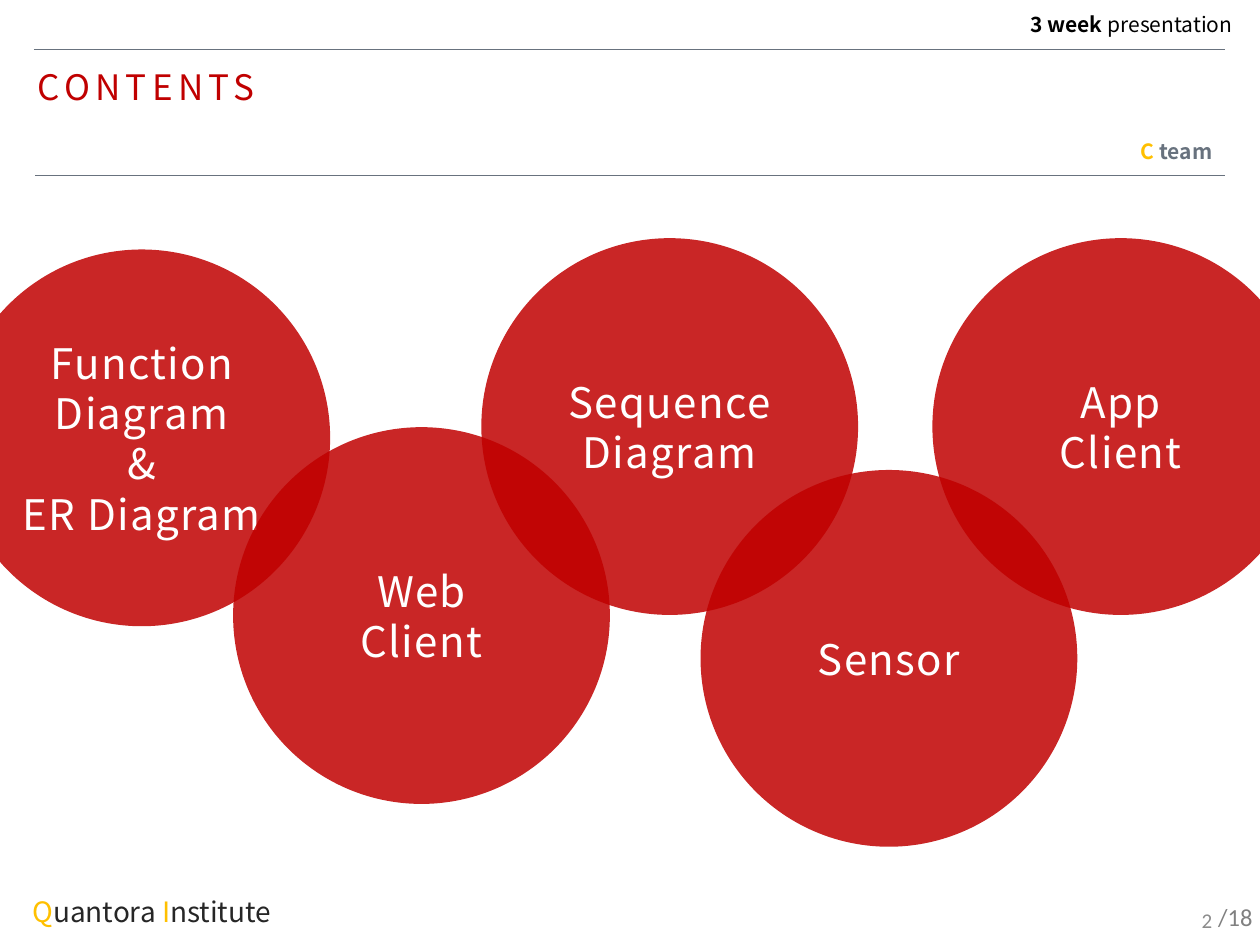
import pptx
import pptx.util
import pptx.dml.color
import pptx.enum.shapes
import pptx.enum.text
import pptx.oxml.ns
import lxml.etree

THEME = {
    "red": "C00000", "gold": "FFC000", "slate": "68727E", "ink": "262626",
    "black": "000000", "white": "FFFFFF", "gray": "8C8C8C", "mid": "808080",
    "sans": "Noto Sans CJK KR", "plain": "Calibri",
    "title": 20, "foot": 16, "small": 12, "disc": 24, "total": 14,
    "rule": 0.25, "alpha": 85,
}
WIDE, HIGH = 10, 7.5
COLS, ROWS = 100, 75
SIZE = 29.9

RULES = [(2.7, 97.2, 3.9), (2.8, 97.2, 13.9)]

TEXTS = [
    {"at": (2, 5.1, 24.4, 4), "size": "title", "gap": 3, "lead": 0.9,
     "runs": [("CONTENTS", "red", False)]},
    {"at": (1.6, 69.2, 44.2, 4.6), "size": "foot", "lead": 1.5,
     "runs": [("Q", "gold", False), ("uantora ", "ink", False),
              ("I", "gold", False), ("nstitute", "ink", False)]},
    {"at": (78.3, 0.8, 20.5, 2.6), "size": "small", "lead": 0.8, "side": "RIGHT",
     "runs": [("3 week ", "black", True), ("presentation", "black", False)]},
    {"at": (76.7, 10.9, 20.5, 2.6), "size": "small", "lead": 0.8, "side": "RIGHT",
     "runs": [("C", "gold", True), (" team", "slate", True)]},
    {"at": (74.7, 71, 22.5, 4), "size": "small", "side": "RIGHT", "face": "plain",
     "anchor": "MIDDLE", "runs": [("2", "gray", False)]},
    {"at": (95.7, 71.1, 5.2, 3.4), "size": "total", "face": "plain",
     "runs": [("/18", "mid", False)]},
]

DISCS = [
    (-3.7, 19.8, ["Function", "Diagram", "&", "ER Diagram"]),
    (18.5, 33.9, ["Web", "Client"]),
    (38.2, 18.9, ["Sequence", "Diagram"]),
    (74, 18.9, ["App", "Client"]),
    (55.6, 37.3, ["Sensor"]),
]


def place(left, top, *size):
    units = (WIDE / COLS, HIGH / ROWS) * 2
    return [pptx.util.Inches(n * u) for n, u in zip((left, top, *size), units)]


def color(key):
    return pptx.dml.color.RGBColor.from_string(THEME[key])


def apply(thing, form):
    for key, value in form.items():
        setattr(thing, key, value)


def write(shape, lines, size, face="sans", side="LEFT", anchor="TOP", lead=1, gap=0):
    frame = shape.text_frame
    apply(frame, {"word_wrap": True,
                  "vertical_anchor": getattr(pptx.enum.text.MSO_ANCHOR, anchor)})
    for i, runs in enumerate(lines):
        para = frame.add_paragraph() if i else frame.paragraphs[0]
        apply(para, {"alignment": getattr(pptx.enum.text.PP_ALIGN, side),
                     "line_spacing": lead})
        for words, tint, bold in runs:
            run = para.add_run()
            run.text = words
            apply(run.font, {"name": THEME[face], "bold": bold,
                             "size": pptx.util.Pt(THEME[size])})
            run.font.color.rgb = color(tint)
            if gap:
                run.font._element.set("spc", str(round(gap * 100)))


def add_rule(slide, left, right, top):
    kind = pptx.enum.shapes.MSO_CONNECTOR.STRAIGHT
    line = slide.shapes.add_connector(kind, *place(left, top, right, top))
    line.line.color.rgb = color("slate")
    line.line.width = pptx.util.Pt(THEME["rule"])
    lxml.etree.SubElement(line._element.spPr, pptx.oxml.ns.qn("a:effectLst"))


def add_text(slide, at, runs, **form):
    write(slide.shapes.add_textbox(*place(*at)), [runs], **form)


def add_disc(slide, left, top, lines):
    kind = pptx.enum.shapes.MSO_SHAPE.OVAL
    disc = slide.shapes.add_shape(kind, *place(left, top, SIZE, SIZE))
    disc.shadow.inherit = False
    disc.fill.solid()
    disc.fill.fore_color.rgb = color("red")
    disc.line.fill.background()
    tint = disc._element.spPr.find(".//" + pptx.oxml.ns.qn("a:srgbClr"))
    alpha = lxml.etree.SubElement(tint, pptx.oxml.ns.qn("a:alpha"))
    alpha.set("val", str(THEME["alpha"] * 1000))
    write(disc, [[(words, "white", False)] for words in lines],
          "disc", side="CENTER", anchor="MIDDLE", gap=0.8)


def main():
    deck = pptx.Presentation()
    apply(deck, {"slide_width": pptx.util.Inches(WIDE),
                 "slide_height": pptx.util.Inches(HIGH)})
    slide = deck.slides.add_slide(deck.slide_layouts[6])
    for rule in RULES:
        add_rule(slide, *rule)
    for text in TEXTS[:-1]:
        add_text(slide, **text)
    for disc in DISCS:
        add_disc(slide, *disc)
    add_text(slide, **TEXTS[-1])
    deck.save("out.pptx")


if __name__ == "__main__":
    main()
